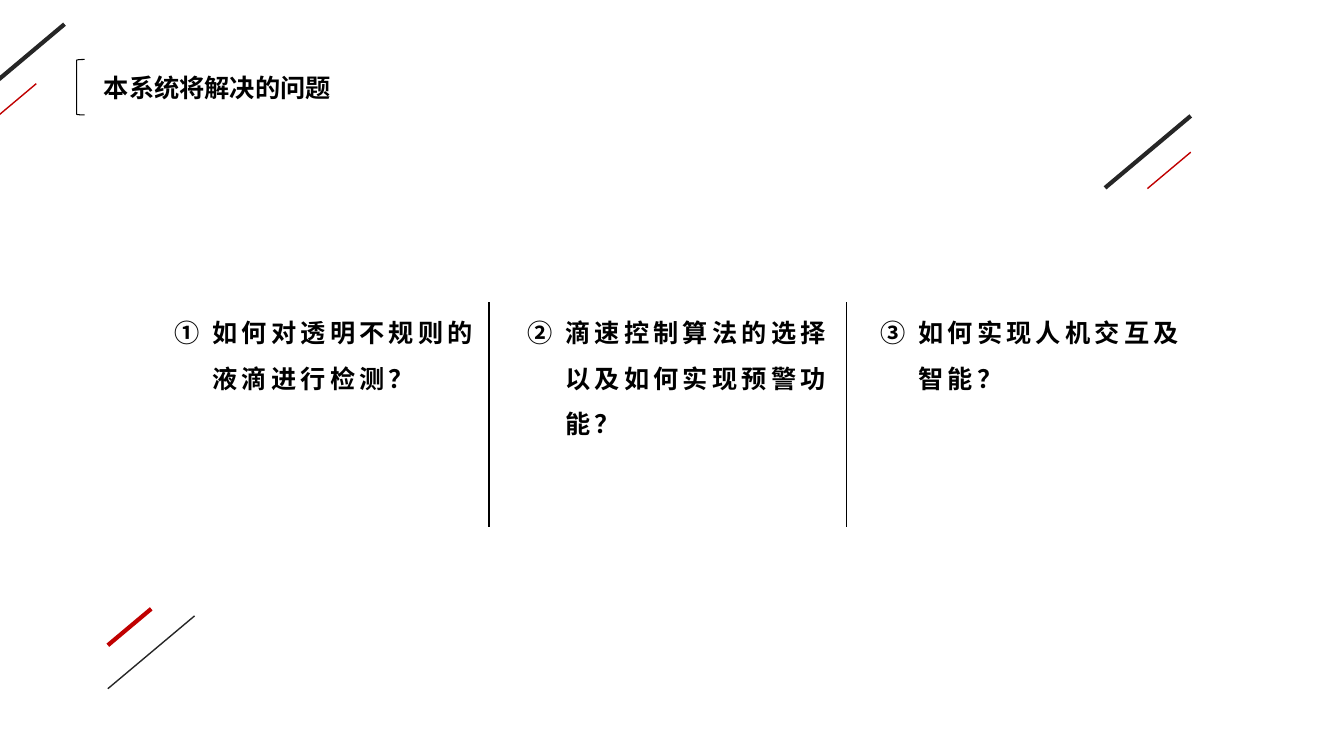
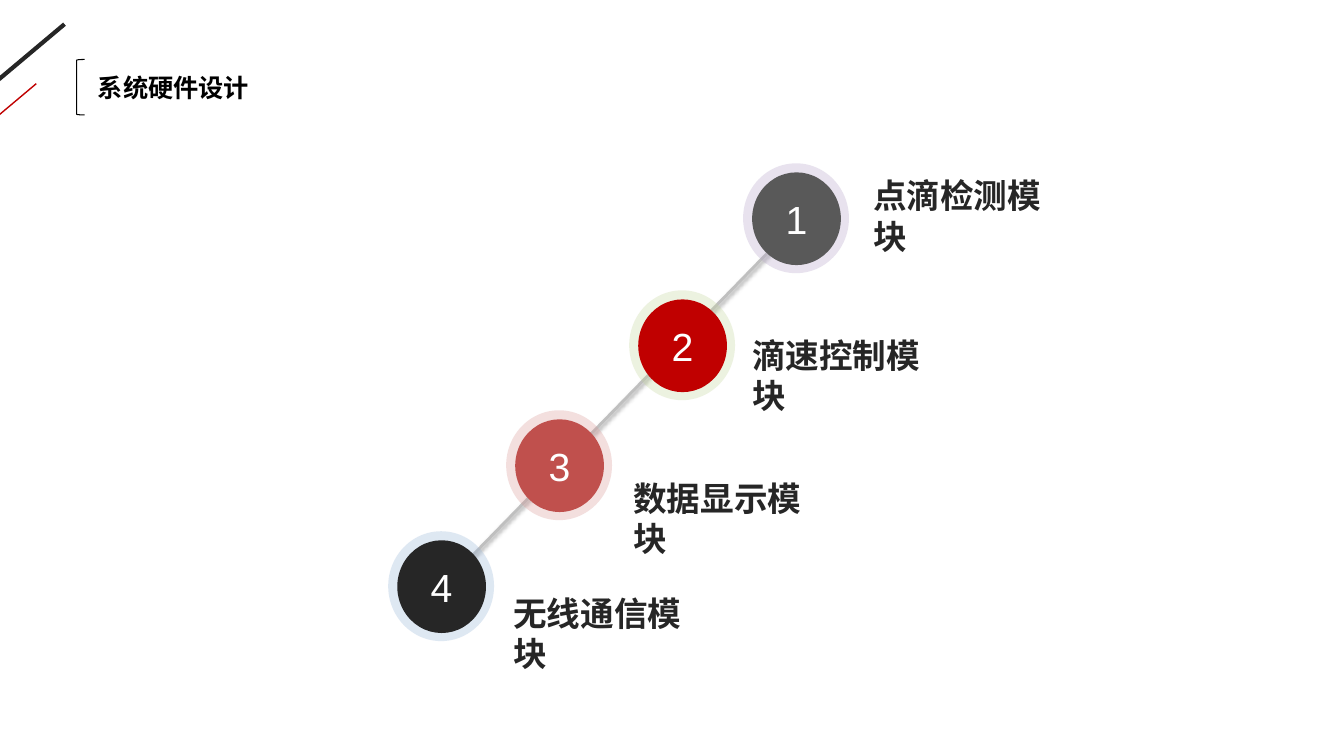
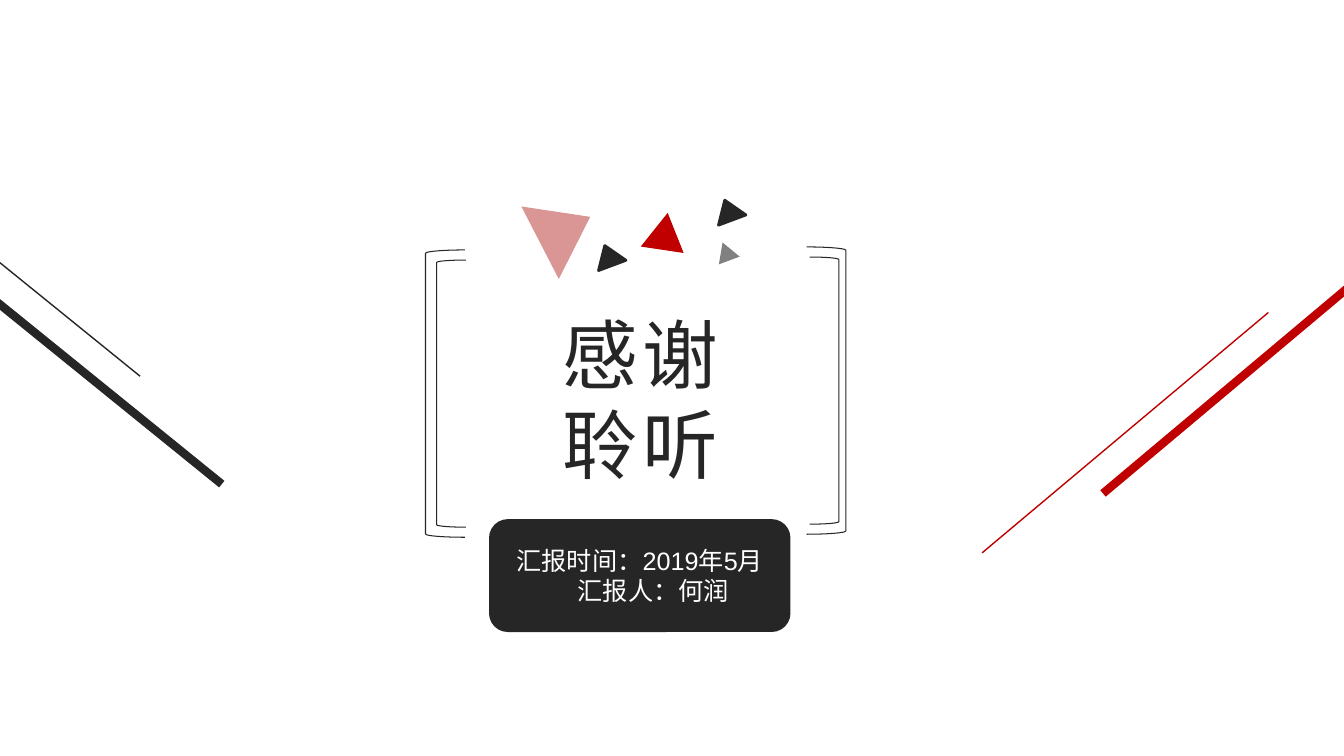
from dataclasses import dataclass

from lxml.etree import SubElement
from pptx import Presentation
from pptx.dml.color import RGBColor as RGB
from pptx.enum.lang import MSO_LANGUAGE_ID as LANG
from pptx.enum.shapes import MSO_CONNECTOR as CONN, MSO_SHAPE as SHAPE
from pptx.enum.text import MSO_ANCHOR as ANCHOR, MSO_AUTO_SIZE as AUTO, PP_ALIGN as ALIGN
from pptx.oxml.ns import qn
from pptx.util import Inches, Pt


@dataclass(frozen=True)
class Theme:
    font: str = "Arial"
    black: str = "000000"
    dark: str = "262626"
    slate: str = "595959"
    gray: str = "808080"
    silver: str = "BFBFBF"
    white: str = "FFFFFF"
    red: str = "C00000"
    brick: str = "C0504D"
    rose: str = "D99694"
    violet: str = "B3A2C7"
    green: str = "C3D69B"
    blue: str = "95B3D7"
    body: int = 18
    label: int = 24
    number: int = 28
    closing: int = 54
    hair: float = 0.75
    thin: float = 1
    edge: float = 2
    thick: float = 3
    heavy: float = 6
    slope: float = 0.84


T = Theme()


# ---- shared drawing helpers ----
def set_attrs(obj, values):
    for name, value in values.items():
        setattr(obj, name, value)


def set_box(sp, x, y, w, h):
    set_attrs(sp, dict(left=Inches(x), top=Inches(y), width=Inches(w), height=Inches(h)))


def write(sp, lines, size, color, bold=False, align=ALIGN.LEFT, spacing=0,
          inset=(0.1, 0.05), **frame):
    """Fill a text frame with one paragraph per line and return the paragraphs."""
    tf = sp.text_frame
    side, end = map(Inches, inset)
    set_attrs(tf, dict(margin_left=side, margin_right=side, margin_top=end, margin_bottom=end,
                       word_wrap=True, auto_size=AUTO.NONE, vertical_anchor=ANCHOR.TOP) | frame)
    tf.text = "\n".join(lines)
    for p in tf.paragraphs:
        p.alignment = align
        for r in p.runs:
            set_attrs(r.font, dict(name=T.font, size=Pt(size), bold=bold,
                                   language_id=LANG.SIMPLIFIED_CHINESE))
            r.font.color.rgb = RGB.from_string(color)
            if spacing:
                r.font._element.set("spc", str(spacing * 100))
    return tf.paragraphs


def add_box(slide, x, y, w, h):
    return slide.shapes.add_textbox(*map(Inches, (x, y, w, h)))


def add_shape(slide, kind, x, y, w, h, fill=None, line=None, width=T.hair, rot=0, alpha=None):
    sp = slide.shapes.add_shape(kind, *map(Inches, (x, y, w, h)))
    sp.shadow.inherit = False
    sp.rotation = rot
    if fill:
        sp.fill.solid()
        sp.fill.fore_color.rgb = RGB.from_string(fill)
    else:
        sp.fill.background()
    if alpha:
        clr = sp._element.spPr.find(".//" + qn("a:srgbClr"))
        SubElement(clr, qn("a:alpha"), val=str(alpha * 1000))
    if line:
        sp.line.color.rgb = RGB.from_string(line)
        sp.line.width = Pt(width)
    else:
        sp.line.fill.background()
    return sp


def add_line(slide, x1, y1, x2, y2, color, width, shadow=False):
    cxn = slide.shapes.add_connector(CONN.STRAIGHT, *map(Inches, (x1, y1, x2, y2)))
    cxn.line.color.rgb = RGB.from_string(color)
    cxn.line.width = Pt(width)
    effects = SubElement(cxn._element.spPr, qn("a:effectLst"))
    if shadow:
        outer = SubElement(effects, qn("a:outerShdw"), blurRad=str(Pt(3.1)),
                           dist=str(Pt(1.6)), dir="5400000", rotWithShape="0")
        clr = SubElement(outer, qn("a:srgbClr"), val=T.black)
        SubElement(clr, qn("a:alpha"), val="38000")


def add_strokes(slide, strokes, slope=T.slope):
    """Slanted strokes, each falling from its top end (x, y) over a run to the left."""
    for x, y, run, color, width in strokes:
        add_line(slide, x, y, x - run, y + slope * abs(run), color, width)


def new_slide(prs):
    return prs.slides.add_slide(prs.slide_layouts[5])


# ---- header of the content slides ----
def add_header(slide, title, x, y=0.67):
    add_strokes(slide, [(0.64, 0.24, 0.85, T.dark, T.thick), (0.36, 0.83, 0.42, T.red, T.thin)])
    sp = slide.shapes.title
    # room for one more character keeps the title on one line
    set_box(sp, x, y, 0.2 + (len(title) + 1) * T.body / 72, 0.4)
    write(sp, [title], T.body, T.black, bold=True)
    add_shape(slide, SHAPE.LEFT_BRACKET, 0.76, y - 0.08, 0.08, 0.55, line=T.black)


# ---- slide 1: numbered questions ----
def add_question(slide, number, text, x, y):
    sp = add_box(slide, x, y, 3.23, 1.01)
    p = write(sp, [text], T.body, T.black, bold=True, spacing=3,
              auto_size=AUTO.SHAPE_TO_FIT_TEXT)[0]
    p.line_spacing = 1.5
    pPr = p._p.get_or_add_pPr()
    pPr.set("marL", str(Inches(0.38)))
    pPr.set("indent", str(Inches(-0.38)))
    SubElement(pPr, qn("a:buAutoNum"), type="circleNumDbPlain", startAt=str(number))


def build_questions(prs):
    slide = new_slide(prs)
    add_header(slide, "本系统将解决的问题", 0.93)
    questions = ["如何对透明不规则的液滴进行检测？",
                 "滴速控制算法的选择以及如何实现预警功能？",
                 "如何实现人机交互及智能？"]
    for i, text in enumerate(questions):
        add_question(slide, i + 1, text, 1.63 + 3.5 * i, 2.95)
    for x in (4.85, 8.4):
        add_line(slide, x, 3, x, 5.23, T.black, T.hair)
    # corner accents
    add_strokes(slide, [(11.81, 1.15, 0.85, T.dark, T.thick), (11.81, 1.51, 0.43, T.red, T.thin),
                        (1.5, 6.04, 0.43, T.red, T.thick), (1.93, 6.11, 0.86, T.dark, T.thin)])


# ---- slide 2: chain of modules ----
def add_module(slide, number, name, x, y, dx, dy, color, halo):
    """A numbered disc in a halo at (x, y), with its label shifted by (dx, dy)."""
    add_shape(slide, SHAPE.OVAL, x, y, 1.05, 1.09, fill=halo, alpha=30)
    disc = add_shape(slide, SHAPE.OVAL, x + 0.09, y + 0.09, 0.88, 0.92, fill=color)
    write(disc, [str(number)], T.number, T.white, align=ALIGN.CENTER, inset=(0, 0),
          vertical_anchor=ANCHOR.MIDDLE)
    label = add_box(slide, x + dx, y + dy, 2.4, 0.64)
    write(label, [name], T.label, T.dark, bold=True, inset=(0.24, 0.12),
          auto_size=AUTO.SHAPE_TO_FIT_TEXT)


def build_modules(prs):
    slide = new_slide(prs)
    add_header(slide, "系统硬件设计", 0.87)
    add_line(slide, 4.19, 6.02, 8.08, 2.03, T.silver, T.edge, shadow=True)
    modules = [("点滴检测模块", 7.37, 1.62, 1.05, 0, T.slate, T.violet),
               ("滴速控制模块", 6.24, 2.88, 0.98, 0.32, T.red, T.green),
               ("数据显示模块", 5.02, 4.07, 1.02, 0.55, T.brick, T.rose),
               ("无线通信模块", 3.85, 5.27, 1, 0.49, T.dark, T.blue)]
    for number, module in enumerate(modules, 1):
        add_module(slide, number, *module)


# ---- slide 3: closing ----
def add_confetti(slide, x, y):
    """Scattered triangles, placed from the top left corner of their area."""
    for dx, dy, w, h, rot, color, line in [
            (1.18, 0.13, 0.43, 0.37, 8.5, T.red, None),
            (1.89, 0.42, 0.22, 0.19, 339.5, T.gray, None),
            (0.69, 0.45, 0.29, 0.21, 339.5, T.dark, T.dark),
            (0, 0.02, 0.81, 0.56, 62.7, T.rose, None),
            (1.88, 0, 0.29, 0.21, 339.5, T.dark, T.dark)]:
        add_shape(slide, SHAPE.ISOSCELES_TRIANGLE, x + dx, y + dy, w, h, fill=color,
                  line=line, width=T.edge, rot=rot)


def add_brackets(slide, x, y, inner_x, flip=False):
    """An outer bracket at (x, y) with a smaller one inside it."""
    for left, top, w, h in [(inner_x, y + 0.1, 0.29, 2.65), (x, y, 0.39, 2.85)]:
        sp = add_shape(slide, SHAPE.LEFT_BRACKET, left, top, w, h, line=T.dark)
        if flip:
            sp._element.spPr.xfrm.set("flipH", "1")


def add_card(slide, x, y, w, h):
    sp = add_shape(slide, SHAPE.ROUNDED_RECTANGLE, x, y, w, h, fill=T.dark)
    ps = write(sp, ["汇报时间：2019年5月", "汇报人：何润"], T.body, T.white,
               align=ALIGN.CENTER, inset=(0, 0.05), vertical_anchor=ANCHOR.MIDDLE)
    ps[1]._p.get_or_add_pPr().set("marL", str(Inches(0.27)))


def build_closing(prs):
    slide = new_slide(prs)
    sp = slide.shapes.title
    set_box(sp, 5.46, 3, 1.78, 1.92)
    write(sp, ["感谢", "聆听"], T.closing, T.dark, align=ALIGN.CENTER, spacing=3,
          word_wrap=False)
    add_confetti(slide, 5.2, 1.98)
    add_card(slide, 4.85, 5.15, 2.99, 1.12)
    add_brackets(slide, 4.22, 2.48, 4.33)
    add_brackets(slide, 8, 2.45, 8.03, flip=True)
    # side accents
    add_strokes(slide, [(13.78, 2.51, 2.84, T.red, T.heavy), (12.58, 3.1, 2.84, T.red, T.thin)])
    add_strokes(slide, [(-0.68, 2.47, -2.88, T.dark, T.heavy),
                        (-1.49, 1.4, -2.88, T.dark, T.thin)], slope=0.81)


def main():
    prs = Presentation()
    set_attrs(prs, dict(slide_width=Inches(13.33), slide_height=Inches(7.5)))
    for build in (build_questions, build_modules, build_closing):
        build(prs)
    prs.save("out.pptx")


if __name__ == "__main__":
    main()
